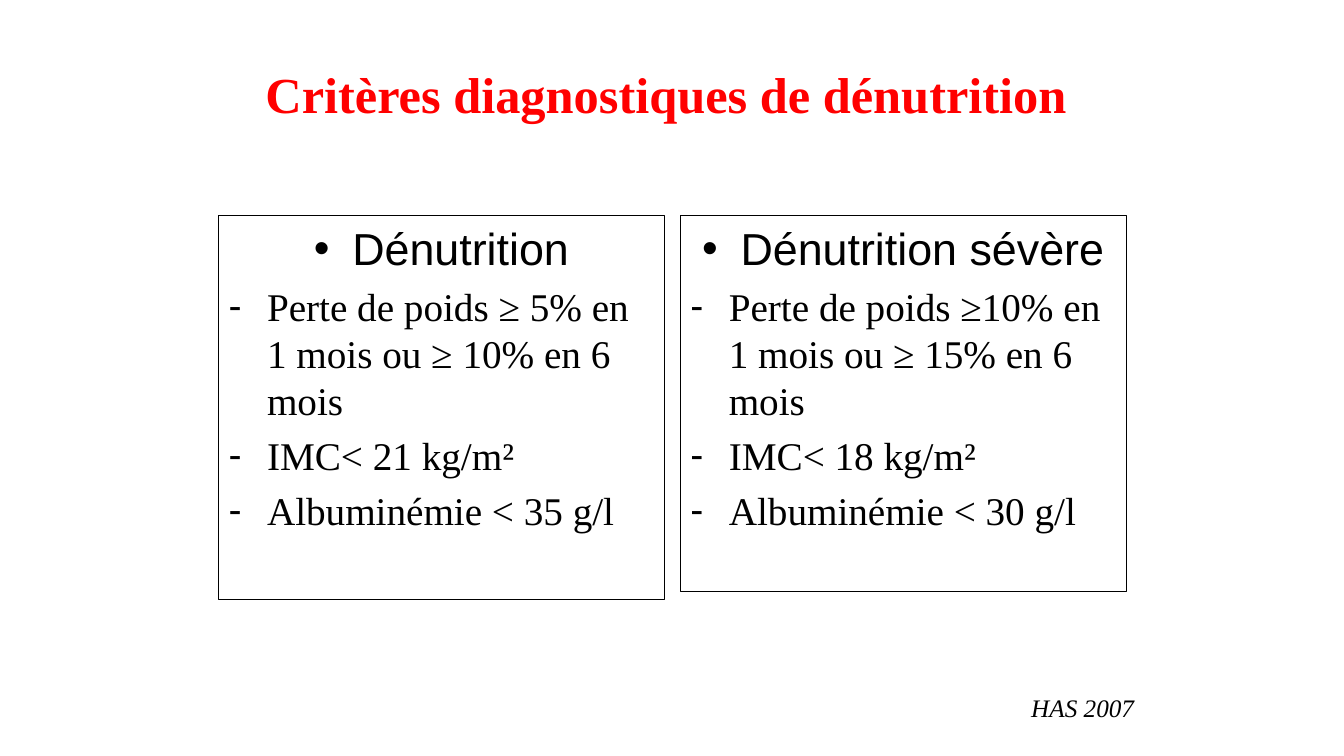
from lxml.etree import SubElement
from pptx import Presentation
from pptx.dml.color import RGBColor
from pptx.enum.shapes import MSO_SHAPE as Shape
from pptx.enum.text import MSO_ANCHOR as Anchor, PP_ALIGN as Align
from pptx.oxml.ns import qn
from pptx.util import Pt

PX = 9144  # 100 px to the inch
SERIF, SANS = "Times New Roman", "Arial"
BLACK, RED = "000000", "FF0000"
INDENT = 38
PANEL_TOP, PANEL_WIDTH = 214, 442

PANELS = [
    (217, 381, "Dénutrition", [
        "Perte de poids ≥ 5% en 1 mois ou ≥ 10% en 6 mois",
        "IMC< 21 kg/m²",
        "Albuminémie < 35 g/l",
    ]),
    (675, 373, "Dénutrition sévère", [
        "Perte de poids ≥10% en 1 mois ou ≥ 15% en 6 mois",
        "IMC< 18 kg/m²",
        "Albuminémie < 30 g/l",
    ]),
]


def px(*lengths):
    return [length * PX for length in lengths]


def color(value):
    return RGBColor.from_string(value)


def style(para, size, name=SERIF, ink=BLACK, align=Align.LEFT, bold=False, italic=False):
    para.alignment = align
    font = para.font
    font.size, font.name = Pt(size), name
    font.bold, font.italic = bold, italic
    font.color.rgb = color(ink)


def add_bullet(para, mark):
    """Give the paragraph a bullet character and a hanging indent."""
    props = para._p.get_or_add_pPr()
    props.set("marL", str(INDENT * PX))
    props.set("indent", str(-INDENT * PX))
    SubElement(props, qn("a:buFont"), typeface=SANS)
    SubElement(props, qn("a:buChar"), char=mark)


def add_label(page, bounds, text, size, wrap=True, **look):
    frame = page.shapes.add_textbox(*px(*bounds)).text_frame
    frame.word_wrap = wrap
    frame.vertical_anchor = Anchor.MIDDLE if wrap else Anchor.TOP
    para = frame.paragraphs[0]
    para.text = text
    style(para, size, **look)


def add_panel(page, left, height, heading, criteria):
    box = page.shapes.add_shape(
        Shape.RECTANGLE, *px(left, PANEL_TOP, PANEL_WIDTH, height))
    box.shadow.inherit = False
    box.fill.background()
    box.line.color.rgb = color(BLACK)
    box.line.width = Pt(0.75)
    frame = box.text_frame
    frame.word_wrap = True
    frame.vertical_anchor = Anchor.TOP

    title = frame.paragraphs[0]
    title.text = heading
    add_bullet(title, "•")
    style(title, 32, SANS, align=Align.CENTER)
    for criterion in criteria:
        para = frame.add_paragraph()
        para.text = criterion
        add_bullet(para, "-")
        para.space_before = Pt(5.6)
        style(para, 28)


def main():
    deck = Presentation()
    deck.slide_width, deck.slide_height = px(1333, 750)
    page = deck.slides.add_slide(deck.slide_layouts[6])
    add_label(page, (67, 30, 1200, 125), "Critères diagnostiques de dénutrition ", 36,
              ink=RED, align=Align.CENTER, bold=True)
    for panel in PANELS:
        add_panel(page, *panel)
    add_label(page, (1013, 682, 123, 40), "HAS 2007", 18, wrap=False,
              align=Align.JUSTIFY, italic=True)
    deck.save("out.pptx")


if __name__ == "__main__":
    main()
